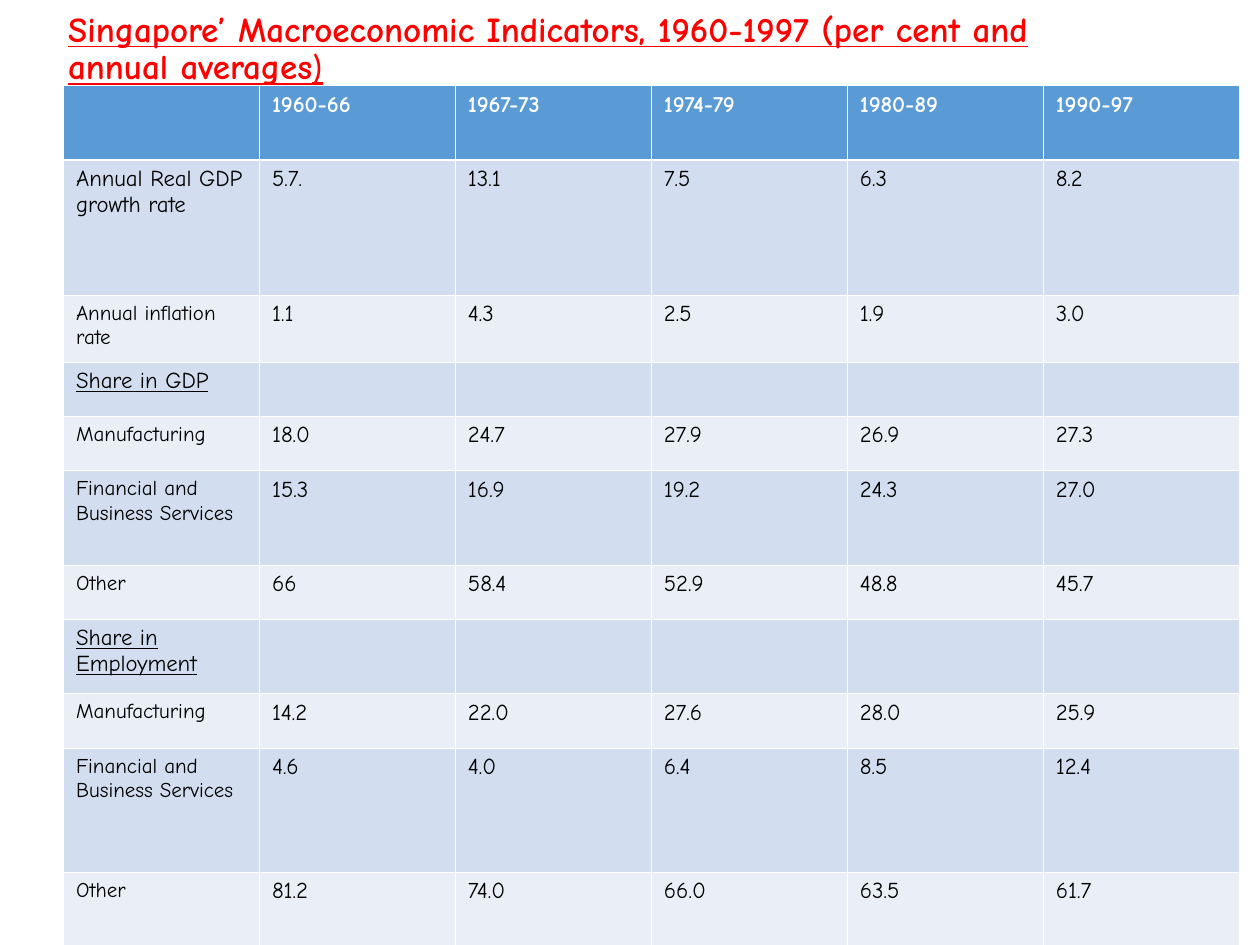
from dataclasses import dataclass

from lxml.etree import SubElement
from pptx import Presentation
from pptx.dml.color import RGBColor
from pptx.enum.text import MSO_ANCHOR, MSO_AUTO_SIZE, PP_ALIGN
from pptx.oxml.ns import qn
from pptx.slide import Slide
from pptx.table import _Cell
from pptx.util import Cm, Pt

FONT = "Comic Neue"
HEADER, BAND_DARK, BAND_LIGHT = "5B9BD5", "D2DEEF", "EAEFF7"
COLUMN_WIDTH = 3.95
THIN, THICK = 0.45, 1.47


@dataclass
class Row:
    height: float
    label: str
    values: tuple[str, ...] = ("",) * 5
    label_size: int = 12
    section: bool = False


ROWS = [
    Row(1.51, "", ("1960-66", "1967-73", "1974-79", "1980-89", "1990-97")),
    Row(2.72, "Annual Real GDP growth rate", ("5.7.", "13.1", "7.5", "6.3", "8.2"), 13),
    Row(1.35, "Annual inflation rate", ("1.1", "4.3", "2.5", "1.9", "3.0")),
    Row(1.09, "Share in GDP", label_size=13, section=True),
    Row(1.1, "Manufacturing", ("18.0", "24.7", "27.9", "26.9", "27.3")),
    Row(1.9, "Financial and Business Services", ("15.3", "16.9", "19.2", "24.3", "27.0")),
    Row(1.09, "Other", ("66", "58.4", "52.9", "48.8", "45.7")),
    Row(1.5, "Share in Employment", label_size=13, section=True),
    Row(1.1, "Manufacturing", ("14.2", "22.0", "27.6", "28.0", "25.9")),
    Row(2.5, "Financial and Business Services", ("4.6", "4.0", "6.4", "8.5", "12.4")),
    Row(1.49, "Other", ("81.2", "74.0", "66.0", "63.5", "61.7")),
]


def rgb(color: str) -> RGBColor:
    return RGBColor.from_string(color)


def set_borders(cell: _Cell, top: float, bottom: float) -> None:
    tc_pr = cell._tc.get_or_add_tcPr()
    for side, width in (("L", THIN), ("R", THIN), ("T", top), ("B", bottom)):
        ln = SubElement(tc_pr, qn(f"a:ln{side}"), w=str(Pt(width)))
        SubElement(SubElement(ln, qn("a:solidFill")), qn("a:srgbClr"), val="FFFFFF")


def fill_cell(cell: _Cell, text: str, size: int, index: int, underline: bool) -> None:
    is_header = index == 0
    set_borders(cell, THICK if index == 1 else THIN, THICK if is_header else THIN)
    cell.fill.solid()
    band = BAND_DARK if index % 2 else BAND_LIGHT
    cell.fill.fore_color.rgb = rgb(HEADER if is_header else band)
    cell.text = text
    font = cell.text_frame.paragraphs[0].font
    font.name, font.size = FONT, Pt(size)
    font.bold, font.underline = is_header, underline
    font.color.rgb = rgb("FFFFFF" if is_header else "000000")


def add_indicators(s: Slide) -> None:
    columns = 1 + len(ROWS[0].values)
    frame = s.shapes.add_table(len(ROWS), columns, Cm(1.28), Cm(1.72),
                               Cm(COLUMN_WIDTH * columns), Cm(sum(row.height for row in ROWS)))
    table = frame.table
    table.horz_banding = False
    for column in table.columns:
        column.width = Cm(COLUMN_WIDTH)
    for i, row in enumerate(ROWS):
        table.rows[i].height = Cm(row.height)
        fill_cell(table.cell(i, 0), row.label, row.label_size, i, row.section)
        for j, value in enumerate(row.values, 1):
            fill_cell(table.cell(i, j), value, 13, i, False)


def add_title(s: Slide) -> None:
    sp = s.shapes.title
    sp.left, sp.top, sp.width, sp.height = Cm(1.12), Cm(-0.84), Cm(21.92), Cm(3.68)
    tf = sp.text_frame
    tf.word_wrap = True
    tf.auto_size = MSO_AUTO_SIZE.NONE
    tf.vertical_anchor = MSO_ANCHOR.MIDDLE
    p = tf.paragraphs[0]
    p.alignment = PP_ALIGN.LEFT
    p.line_spacing = 0.9
    p.font.size = Pt(20)
    p.font.underline = True
    p.font.color.rgb = rgb("FF0000")
    title = "Singapore’ Macroeconomic Indicators, 1960-1997 (per cent and annual averages"
    for text, name, bold in ((title, FONT, True), (")", "Calibri", False)):
        r = p.add_run()
        r.text = text
        r.font.name, r.font.bold = name, bold


def main() -> None:
    prs = Presentation()
    prs.slide_width, prs.slide_height = Cm(25.4), Cm(19.05)
    s = prs.slides.add_slide(prs.slide_layouts[5])
    add_title(s)
    add_indicators(s)
    prs.save("out.pptx")


if __name__ == "__main__":
    main()
